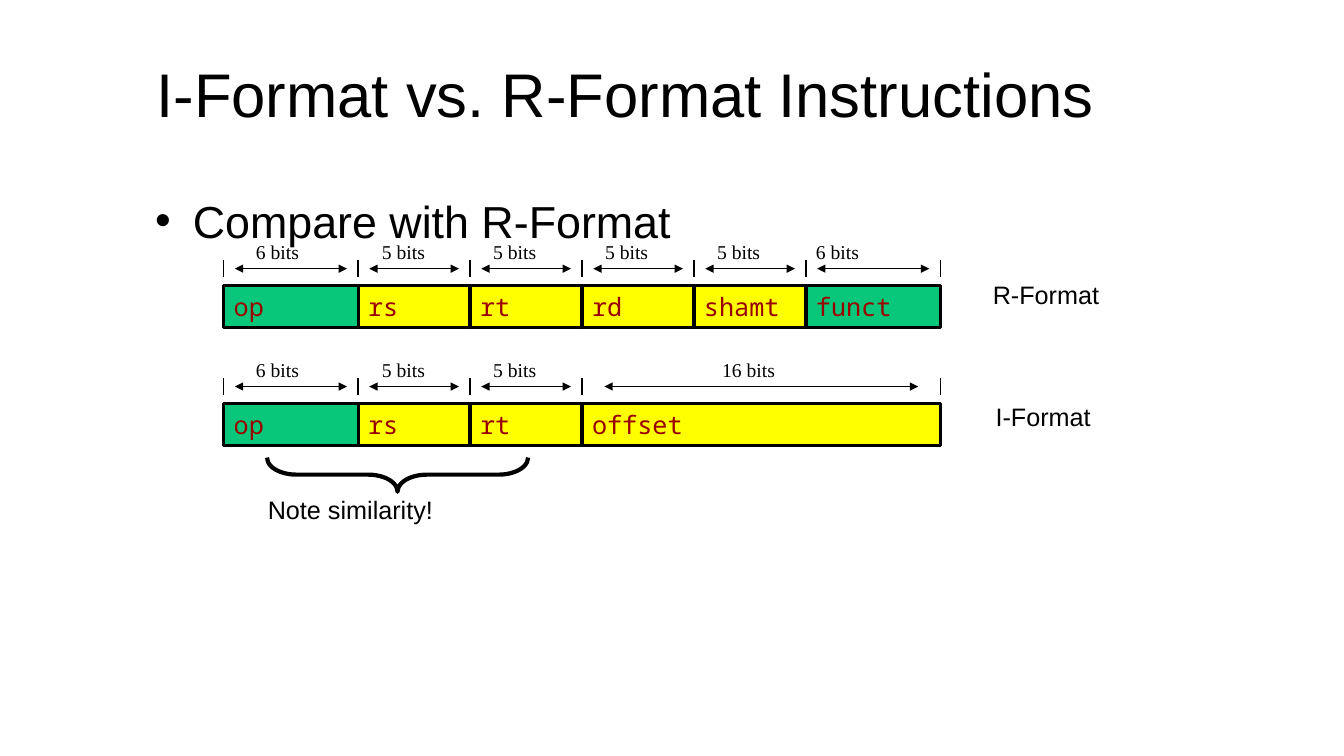
from dataclasses import dataclass

from lxml import etree
from pptx import Presentation
from pptx.dml.color import RGBColor
from pptx.enum.shapes import MSO_CONNECTOR, MSO_SHAPE
from pptx.enum.text import MSO_ANCHOR, PP_ALIGN
from pptx.oxml.ns import qn
from pptx.slide import Slide
from pptx.text.text import TextFrame
from pptx.util import Cm, Pt

BLACK = RGBColor(0x00, 0x00, 0x00)
YELLOW = RGBColor(0xFF, 0xFF, 0x00)
GREEN = RGBColor(0x09, 0xC7, 0x7A)
DARK_RED = RGBColor(0x99, 0x00, 0x00)

STRAIGHT = MSO_CONNECTOR.STRAIGHT
RECTANGLE = MSO_SHAPE.RECTANGLE
LEFT_BRACE = MSO_SHAPE.LEFT_BRACE
TOP, MIDDLE = MSO_ANCHOR.TOP, MSO_ANCHOR.MIDDLE
LEFT, CENTER = PP_ALIGN.LEFT, PP_ALIGN.CENTER

SANS, SERIF, MONO = "Arial", "Times New Roman", "Noto Sans Mono"

WORD_LEFT = 5.64
BIT_WIDTH = 18.06 / 32
TICK_TOP, ARROW_Y, TICK_BOTTOM = 0.64, 0.85, 1.06
CELL_TOP, CELL_HEIGHT = 1.27, 1.06


@dataclass(frozen=True)
class Field:
    name: str
    bits: int
    label_offset: float
    fill: RGBColor = YELLOW
    arrow_gap: float = 0.28


@dataclass(frozen=True)
class Format:
    name: str
    top: float
    name_left: float
    name_top: float
    fields: tuple[Field, ...]


SHARED_FIELDS = (
    Field("op", 6, 0.56, GREEN),
    Field("rs", 5, 0.35),
    Field("rt", 5, 0.33),
)
FORMATS = (
    Format("R-Format", 5.92, 24.77, 6.91, SHARED_FIELDS + (
        Field("rd", 5, 0.33),
        Field("shamt", 5, 0.33),
        Field("funct", 6, 0, GREEN),
    )),
    Format("I-Format", 8.89, 24.84, 9.98, SHARED_FIELDS + (
        Field("offset", 16, 3.28, arrow_gap=0.56),
    )),
)


def write(frame: TextFrame, text: str, size: float, font: str,
          color: RGBColor = BLACK, anchor: MSO_ANCHOR = TOP,
          align: PP_ALIGN = LEFT) -> None:
    frame.word_wrap = True
    frame.vertical_anchor = anchor
    paragraph = frame.paragraphs[0]
    paragraph.alignment = align
    run = paragraph.add_run()
    run.text = text
    run.font.size = Pt(size)
    run.font.name = font
    run.font.color.rgb = color


def add_text(slide: Slide, left: float, top: float, width: float, height: float,
             text: str, size: float, font: str = SANS,
             anchor: MSO_ANCHOR = TOP, align: PP_ALIGN = LEFT) -> TextFrame:
    frame = slide.shapes.add_textbox(Cm(left), Cm(top), Cm(width), Cm(height)).text_frame
    write(frame, text, size, font, anchor=anchor, align=align)
    return frame


def add_line(slide: Slide, x1: float, y1: float, x2: float, y2: float,
             arrows: bool = False) -> None:
    line = slide.shapes.add_connector(STRAIGHT, Cm(x1), Cm(y1), Cm(x2), Cm(y2))
    line.line.color.rgb = BLACK
    line.line.width = Pt(1)
    if arrows:
        outline = line.line._get_or_add_ln()
        for end in ("a:headEnd", "a:tailEnd"):
            etree.SubElement(outline, qn(end), type="triangle")
    etree.SubElement(line._element.spPr, qn("a:effectLst"))


def add_tick(slide: Slide, x: float, top: float) -> None:
    add_line(slide, x, top + TICK_BOTTOM, x, top + TICK_TOP)


def add_field(slide: Slide, field: Field, left: float, top: float) -> None:
    width = field.bits * BIT_WIDTH
    cell = slide.shapes.add_shape(
        RECTANGLE, Cm(left), Cm(top + CELL_TOP), Cm(width), Cm(CELL_HEIGHT))
    cell.shadow.inherit = False
    cell.fill.solid()
    cell.fill.fore_color.rgb = field.fill
    cell.line.color.rgb = BLACK
    cell.line.width = Pt(2.25)
    write(cell.text_frame, field.name, 18, MONO, DARK_RED, MIDDLE)
    add_tick(slide, left, top)
    add_line(slide, left + field.arrow_gap, top + ARROW_Y,
             left + width - field.arrow_gap, top + ARROW_Y, arrows=True)
    add_text(slide, left + field.label_offset, top, 2.1, 0.86,
             f"{field.bits} bits", 14, SERIF)


def add_format(slide: Slide, layout: Format) -> None:
    left = WORD_LEFT
    for field in layout.fields:
        add_field(slide, field, left, layout.top)
        left += field.bits * BIT_WIDTH
    add_tick(slide, left, layout.top)
    add_text(slide, layout.name_left, layout.name_top, 3.5, 1.02, layout.name, 18)


def add_bullet(frame: TextFrame) -> None:
    properties = frame.paragraphs[0]._p.get_or_add_pPr()
    properties.set("marL", str(Cm(0.95)))
    properties.set("indent", str(Cm(-0.95)))
    etree.SubElement(properties, qn("a:buFont"), typeface=SANS)
    etree.SubElement(properties, qn("a:buChar"), char="•")


def add_similarity_note(slide: Slide) -> None:
    brace = slide.shapes.add_shape(LEFT_BRACE, Cm(9.59), Cm(8.67), Cm(0.86), Cm(6.58))
    brace.rotation = 270
    brace.adjustments[0] = 0.86
    brace.adjustments[1] = 0.5
    brace.shadow.inherit = False
    brace.fill.background()
    brace.line.color.rgb = BLACK
    brace.line.width = Pt(3)
    add_text(slide, 6.5, 12.32, 5, 1.02, "Note similarity!", 18, anchor=MIDDLE)


def main() -> None:
    presentation = Presentation()
    presentation.slide_width = Cm(33.87)
    presentation.slide_height = Cm(19.05)
    slide = presentation.slides.add_slide(presentation.slide_layouts[6])
    add_text(slide, 1.7, 0.76, 28.14, 3.18, "I-Format vs. R-Format Instructions",
             44, anchor=MIDDLE, align=CENTER)
    comparison = add_text(slide, 3.66, 4.75, 26.52, 11.33, "Compare with R-Format", 32)
    add_bullet(comparison)
    for layout in FORMATS:
        add_format(slide, layout)
    add_similarity_note(slide)
    presentation.save("out.pptx")


if __name__ == "__main__":
    main()
